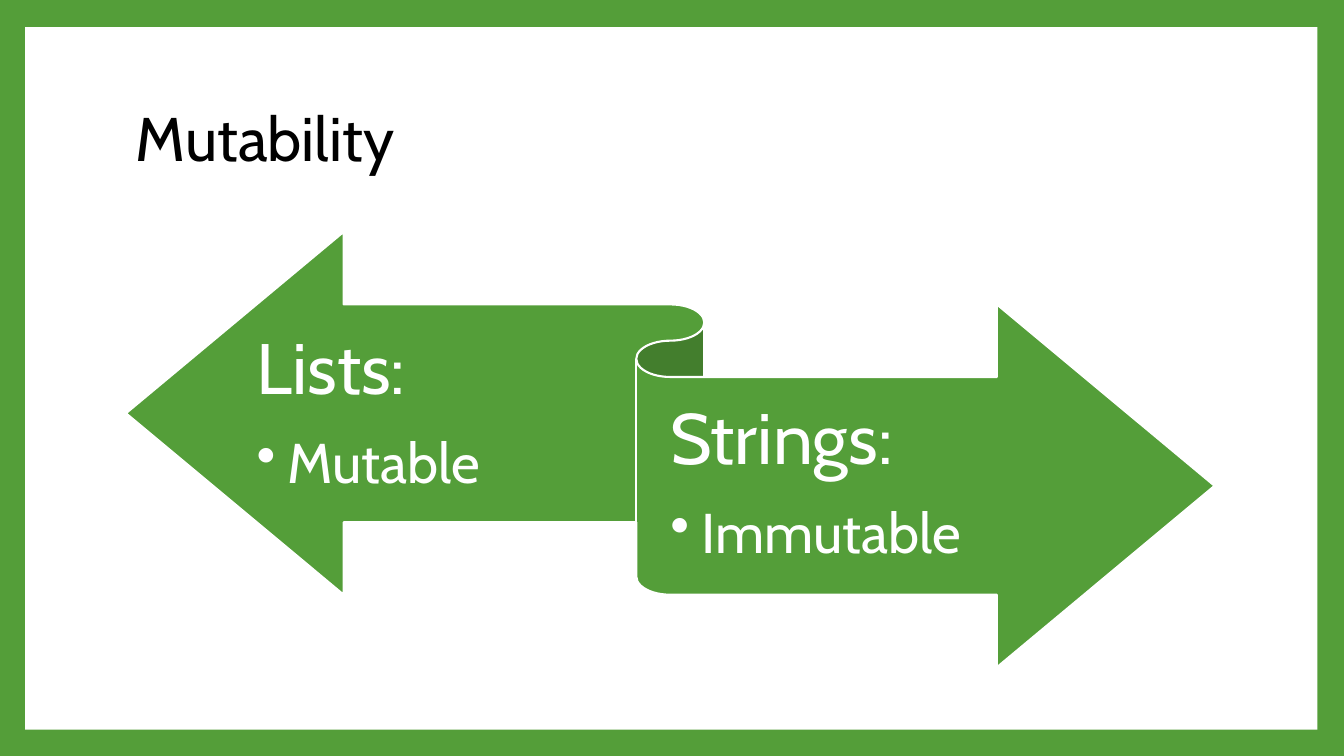
from lxml.etree import SubElement
from pptx import Presentation
from pptx.dml.color import RGBColor as Color
from pptx.enum.shapes import MSO_SHAPE as Preset
from pptx.enum.text import MSO_ANCHOR as Anchor
from pptx.oxml.ns import qn
from pptx.util import Inches, Pt

COLORS = {"green": "549E39", "white": "FFFFFF", "black": "000000"}
COLUMNS, ROWS, UNIT = 160, 90, Pt(6)
RIBBON = (15, 27.6, 129.6, 51.84)
SIDES = [
    ("Lists:", "Mutable", (0.12, 0.175, 0.33, 0.49)),
    ("Strings:", "Immutable", (0.5, 0.335, 0.39, 0.49)),
]


class Page:
    font = "Cabin"

    def __init__(self, deck, background):
        self.slide = deck.slides.add_slide(deck.slide_layouts[6])
        self.paint(self.slide.background.fill, background)

    def paint(self, fill, color):
        fill.solid()
        fill.fore_color.rgb = Color.from_string(COLORS[color])

    def grid(self, area):
        return [round(length * UNIT) for length in area]

    def shape(self, preset, area, color, outline=None):
        shape = self.slide.shapes.add_shape(preset, *self.grid(area))
        shape.shadow.inherit = False
        self.paint(shape.fill, color)
        if outline:
            self.paint(shape.line.fill, outline)
            shape.line.width = Pt(1.5)
        else:
            shape.line.fill.background()

    def text(self, area, lines, color, **margins):
        box = self.slide.shapes.add_textbox(*self.grid(area))
        frame = box.text_frame
        settings = {"word_wrap": True, "vertical_anchor": Anchor.MIDDLE, **margins}
        for name, value in settings.items():
            setattr(frame, name, value)
        for index, (words, size, after, bullet) in enumerate(lines):
            para = frame.add_paragraph() if index else frame.paragraphs[0]
            for name, value in {"line_spacing": 0.9, "space_after": Pt(after)}.items():
                setattr(para, name, value)
            if bullet:
                self.bullet(para)
            span = para.add_run()
            span.text = words
            for name, value in {"name": self.font, "size": Pt(size)}.items():
                setattr(span.font, name, value)
            self.paint(span.font.fill, color)

    def bullet(self, para):
        para.level = 1
        properties = para._p.get_or_add_pPr()
        indent = Inches(0.31)
        properties.set("marL", str(indent))
        properties.set("indent", str(-indent))
        SubElement(properties, qn("a:buChar"), char="•")


def main():
    deck = Presentation()
    deck.slide_width, deck.slide_height = COLUMNS * UNIT, ROWS * UNIT
    page = Page(deck, "green")
    page.shape(Preset.RECTANGLE, (3, 3.24, 153.84, 83.64), "white")
    page.text((15, 8, 129.6, 17.8), [("Mutability", 44, 0, False)], "black")
    page.shape(Preset.LEFT_RIGHT_RIBBON, RIBBON, "green", "white")
    left, top, width, height = RIBBON
    margins = {
        "margin_left": 0,
        "margin_top": Inches(0.2),
        "margin_right": 0,
        "margin_bottom": Inches(0.21),
    }
    for heading, trait, (across, down, wide, high) in SIDES:
        area = (left + across * width, top + down * height, wide * width, high * height)
        lines = [(heading, 51, 18, False), (trait, 40, 6, True)]
        page.text(area, lines, "white", **margins)
    deck.save("out.pptx")


if __name__ == "__main__":
    main()
